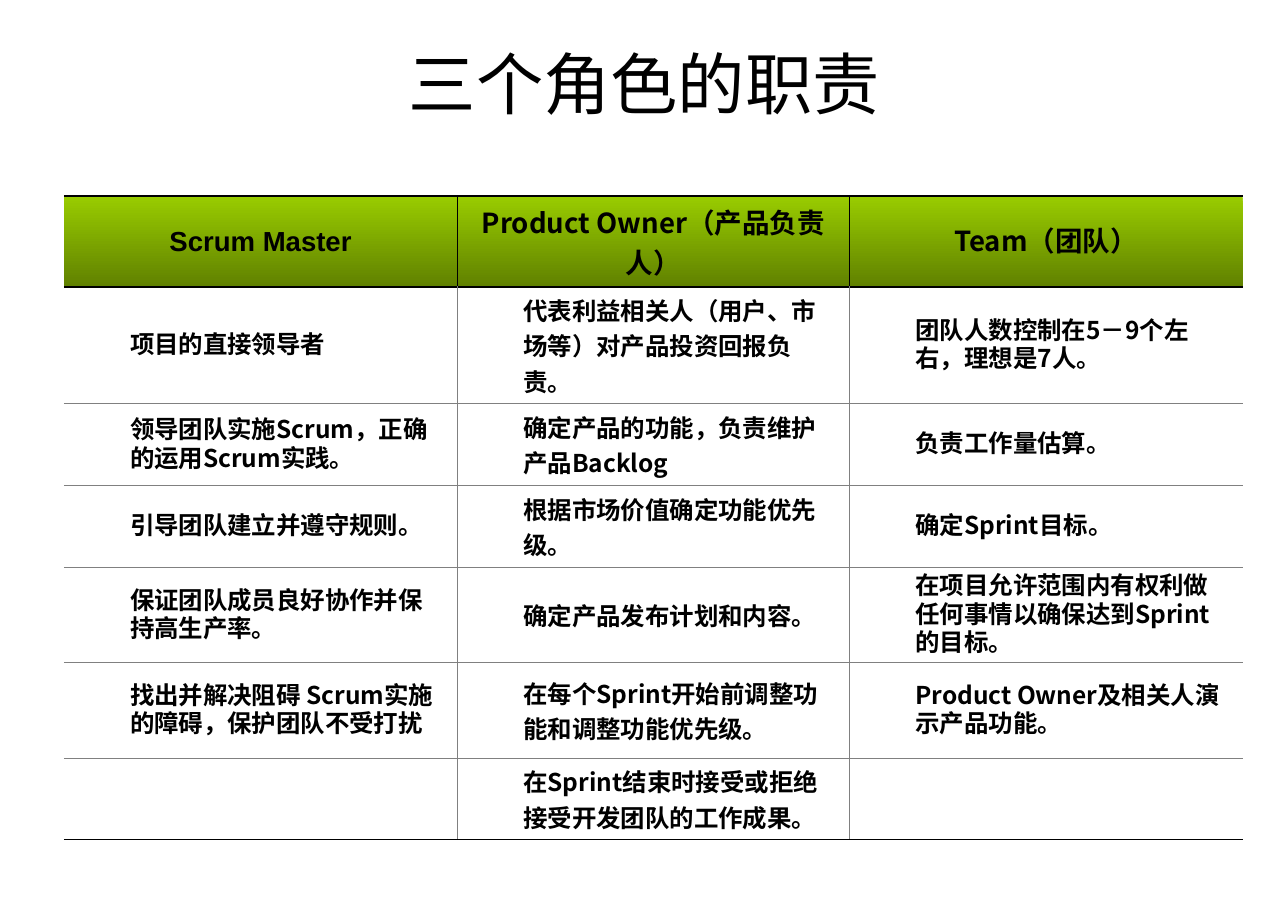
"""Build a slide with a table of the duties of the three Scrum roles."""
from pptx import Presentation
from pptx.dml.color import RGBColor
from pptx.enum.text import MSO_ANCHOR as Anchor, PP_ALIGN as Align
from pptx.oxml.ns import qn
from pptx.util import Inches, Pt
from lxml.etree import SubElement, Element

TITLE = "三个角色的职责"
ROLES = ["Scrum Master", "Product Owner（产品负责人）", "Team（团队）"]
DUTIES = [
    ("项目的直接领导者", "代表利益相关人（用户、市场等）对产品投资回报负责。",
     "团队人数控制在5－9个左右，理想是7人。"),
    ("领导团队实施Scrum，正确的运用Scrum实践。", "确定产品的功能，负责维护产品Backlog",
     "负责工作量估算。"),
    ("引导团队建立并遵守规则。", "根据市场价值确定功能优先级。", "确定Sprint目标。"),
    ("保证团队成员良好协作并保持高生产率。", "确定产品发布计划和内容。",
     "在项目允许范围内有权利做任何事情以确保达到Sprint的目标。"),
    ("找出并解决阻碍 Scrum实施的障碍，保护团队不受打扰",
     "在每个Sprint开始前调整功能和调整功能优先级。",
     "Product Owner及相关人演示产品功能。"),
    ("", "在Sprint结束时接受或拒绝接受开发团队的工作成果。", ""),
]
COLUMN_WIDTHS = [3.57, 3.56, 3.57]
ROW_HEIGHTS = [0.7, 0.64, 0.64, 0.64, 0.74, 0.64, 0.64]
COLORS = {"text": "000000", "rule": "000000", "grid": "808080",
          "header_top": "99CC00", "header_bottom": "608100"}
LATIN, CHINESE = "Arial", "Noto Sans CJK SC"
THICK, THIN = 1.08, 0.45


def rgb(name):
    """Return a named colour."""
    return RGBColor.from_string(COLORS[name])


def style_text(para, size, latin, bold):
    """Format every run of a paragraph."""
    para._p.get_or_add_pPr().set("hangingPunct", "0")
    for span in para.runs:
        font = span.font
        font.size, font.name, font.bold = Pt(size), latin, bold
        font.color.rgb = rgb("text")
        SubElement(span._r.get_or_add_rPr(), qn("a:ea"), typeface=CHINESE)


def set_borders(cell, borders):
    """Draw the left, right, top and bottom borders, in that order."""
    properties = cell._tc.get_or_add_tcPr()
    for index, (side, border) in enumerate(zip("LRTB", borders)):
        line = Element(qn(f"a:ln{side}"))
        if border:
            color, width = border
            line.set("w", str(Pt(width)))
            fill = SubElement(line, qn("a:solidFill"))
            SubElement(fill, qn("a:srgbClr"), val=COLORS[color])
        else:
            SubElement(line, qn("a:noFill"))
        properties.insert(index, line)


def fill_header(cell):
    """Give a header cell its vertical gradient."""
    cell.fill.gradient()
    cell.fill.gradient_angle = 270
    for stop, position, name in zip(cell.fill.gradient_stops, (0, 1),
                                    ("header_top", "header_bottom")):
        stop.position = position
        stop.color.rgb = rgb(name)


def write_cell(cell, text, row, column):
    """Write and format one table cell."""
    header = row == 0
    cell.vertical_anchor = Anchor.MIDDLE
    cell.margin_left = cell.margin_right = Inches(0.1)
    cell.margin_top = cell.margin_bottom = Inches(0.05)
    if header:
        fill_header(cell)
    else:
        cell.fill.background()

    side = ("rule" if header else "grid", THIN)
    rule, grid = ("rule", THICK), ("grid", THIN)
    set_borders(cell, (
        side if column > 0 else None,
        side if column < len(ROLES) - 1 else None,
        rule if row <= 1 else grid,
        rule if row in (0, len(DUTIES)) else grid))

    if not text:
        return
    para = cell.text_frame.paragraphs[0]
    para.text = text
    para.space_before = Pt(4.5 if header else 4)
    if column == 2 or (column == 0 and not header):
        para.line_spacing = 0.8
    if header:
        para.alignment = Align.CENTER
    else:
        para.level = 1
        properties = para._p.get_or_add_pPr()
        properties.set("marL", str(Inches(0.5)))
        properties.set("indent", "0")
    latin = LATIN if header and column == 0 else CHINESE
    style_text(para, 18 if header else 16, latin, True)


def main():
    """Build and save the deck."""
    deck = Presentation()
    deck.slide_width, deck.slide_height = Inches(11.69), Inches(8.27)
    page = deck.slides.add_slide(deck.slide_layouts[5])

    title = page.shapes.title
    title.left, title.top = Inches(0.59), Inches(0.33)
    title.width, title.height = Inches(10.52), Inches(1.38)
    title.text_frame.text = TITLE
    title.text_frame.vertical_anchor = Anchor.TOP
    heading = title.text_frame.paragraphs[0]
    heading.alignment = Align.CENTER
    style_text(heading, 44, LATIN, False)

    rows = [ROLES, *DUTIES]
    table = page.shapes.add_table(
        len(rows), len(ROLES), Inches(0.58), Inches(1.78),
        Inches(sum(COLUMN_WIDTHS)), Inches(sum(ROW_HEIGHTS))).table
    table.first_row = table.horz_banding = False
    for column, width in zip(table.columns, COLUMN_WIDTHS):
        column.width = Inches(width)
    for row, height in zip(table.rows, ROW_HEIGHTS):
        row.height = Inches(height)
    for row, texts in enumerate(rows):
        for column, text in enumerate(texts):
            write_cell(table.cell(row, column), text, row, column)

    deck.save("out.pptx")


if __name__ == "__main__":
    main()
